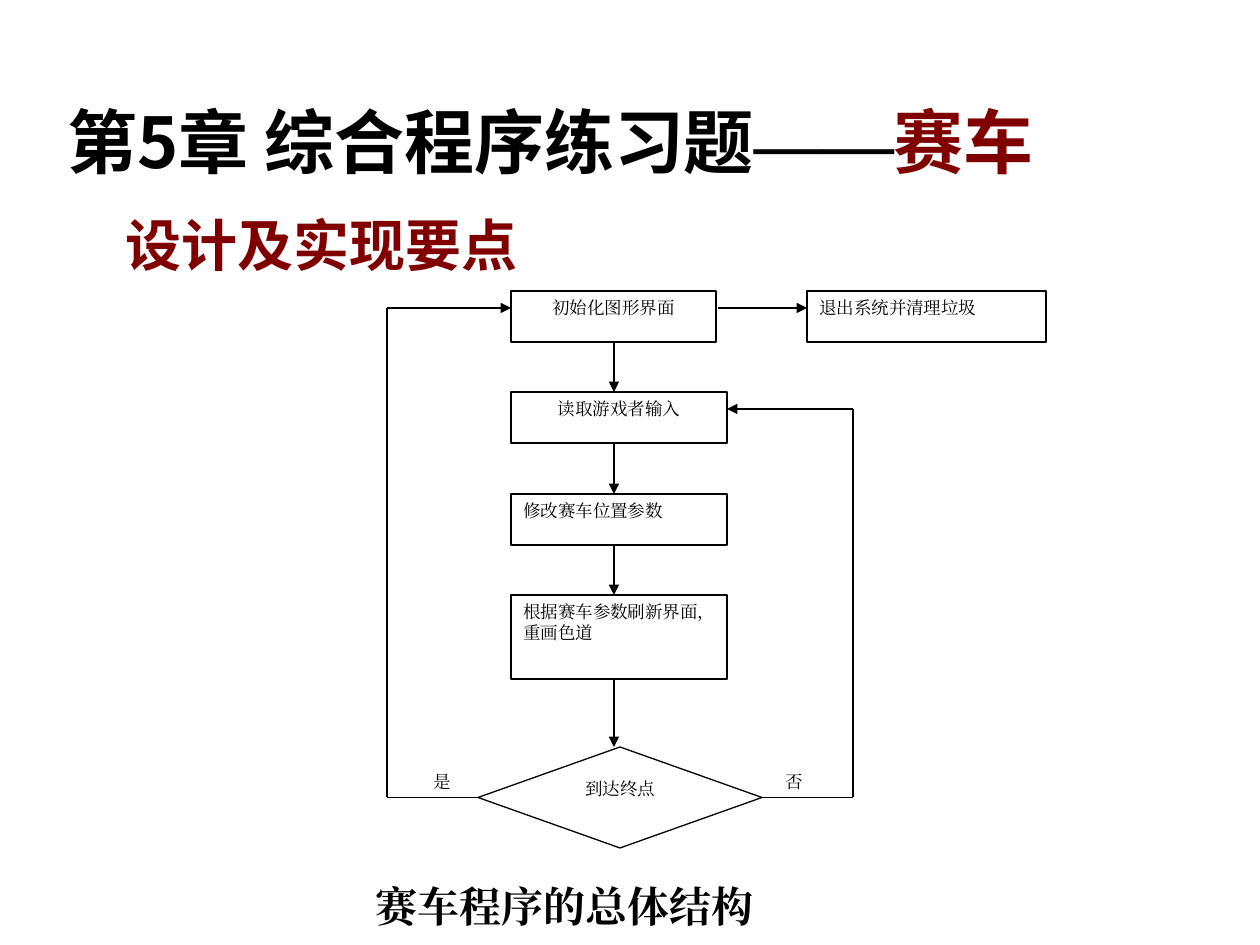
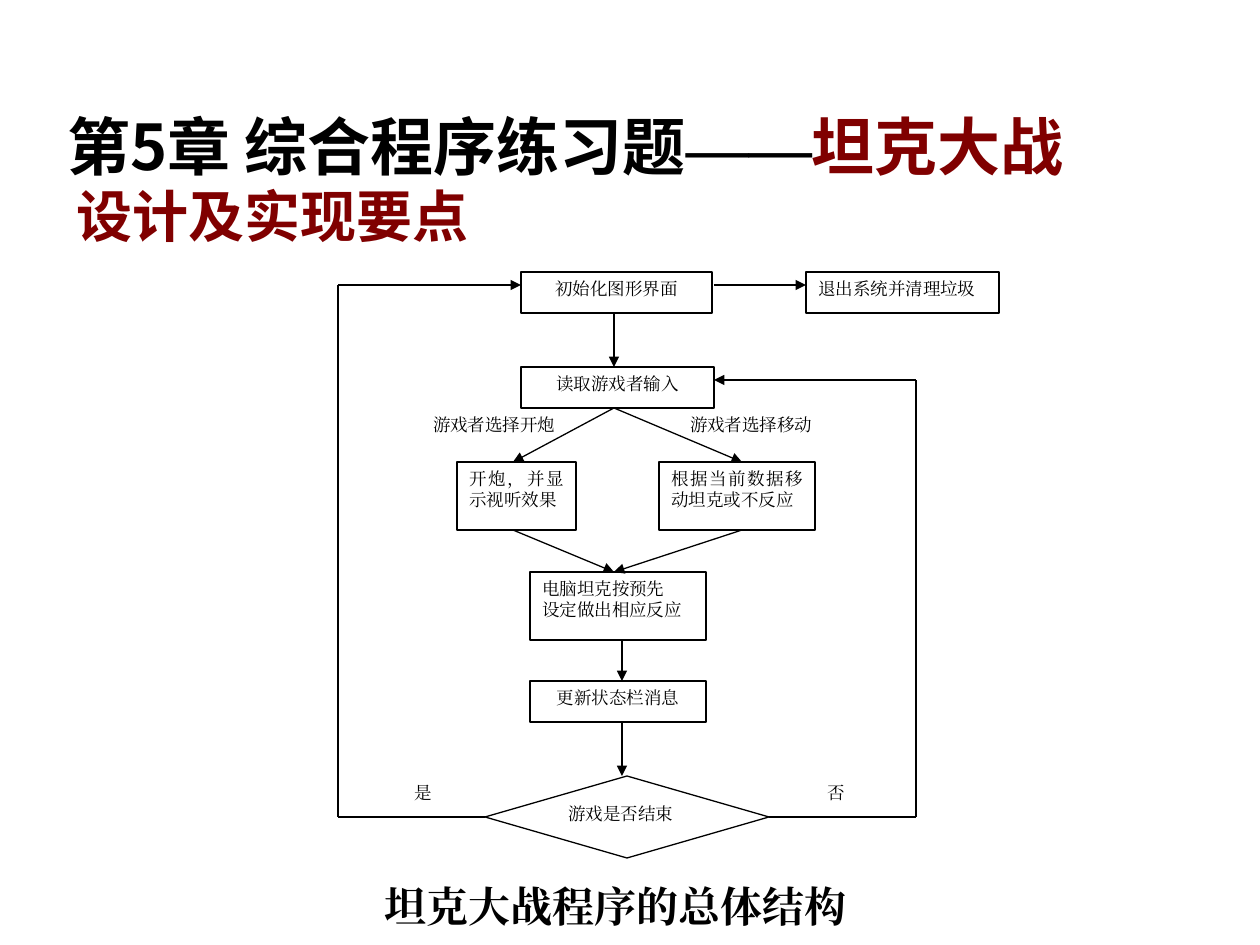
from lxml.etree import SubElement
from pptx import Presentation
from pptx.dml.color import RGBColor
from pptx.enum.shapes import MSO_CONNECTOR as Connector, MSO_SHAPE as Shape
from pptx.enum.text import MSO_ANCHOR as Anchor, PP_ALIGN as Align
from pptx.oxml.ns import qn
from pptx.util import Emu, Pt

SCALE = 914400 / 126
PAGE = (1260, 945)
BLACK, WHITE, MAROON, GOLD = "000000", "FFFFFF", "800000", "FFCC00"
SERIF, SANS, HEADING = "Times New Roman", "Noto Sans CJK SC", "Lato"
CHAPTER, DASH, SECTION = "第5章 综合程序练习题", "——", "设计及实现要点"
TITLE_BOX = (55, 32, 1071, 157)
SECTION_SIZE = (651, 87)
CAPTION_TOP, CAPTION_SIZE = 866, (536, 79)
LEFT, CENTER, JUSTIFY = Align.LEFT, Align.CENTER, Align.JUSTIFY

SLIDES = [
    {
        "topic": "赛车", "title_size": 40, "section_at": (113, 204),
        "caption": "赛车程序的总体结构 ", "caption_left": 302,
        "nodes": {
            "init": ("初始化图形界面", (511, 291, 205, 51), CENTER),
            "read": ("读取游戏者输入", (511, 392, 216, 51), CENTER),
            "move": ("修改赛车位置参数", (511, 494, 216, 51), JUSTIFY),
            "redraw": ("根据赛车参数刷新界面，重画色道", (511, 595, 216, 84), LEFT),
            "decision": ("到达终点", (478, 747, 284, 101), CENTER),
            "exit": ("退出系统并清理垃圾", (807, 291, 239, 51), JUSTIFY),
        },
        "flows": [
            ("init", 614, "read", 614), ("read", 614, "move", 614),
            ("move", 614, "redraw", 614), ("redraw", 614, "decision", 614),
        ],
        "lanes": (387, 853), "entry": 17,
        "labels": [
            ("是", (421, 765, 57, 68), JUSTIFY),
            ("否", (773, 765, 57, 68), JUSTIFY),
        ],
    },
    {
        "topic": "坦克大战", "title_size": 36, "section_at": (64, 175),
        "caption": "坦克大战程序的总体结构 ", "caption_left": 353,
        "nodes": {
            "init": ("初始化图形界面", (521, 272, 191, 41), CENTER),
            "read": ("读取游戏者输入", (521, 367, 193, 41), CENTER),
            "fire": ("开炮，并显示视听效果", (457, 462, 119, 68), JUSTIFY),
            "move": ("根据当前数据移动坦克或不反应", (659, 462, 156, 68), JUSTIFY),
            "computer": ("电脑坦克按预先\n设定做出相应反应", (530, 572, 176, 68), LEFT),
            "status": ("更新状态栏消息", (530, 681, 176, 41), CENTER),
            "decision": ("游戏是否结束", (485, 776, 284, 82), JUSTIFY),
            "exit": ("退出系统并清理垃圾", (806, 272, 193, 41), JUSTIFY),
        },
        "flows": [
            ("init", 614, "read", 614), ("read", 614, "fire", 513),
            ("read", 614, "move", 742), ("fire", 513, "computer", 614),
            ("move", 742, "computer", 614), ("computer", 622, "status", 622),
            ("status", 622, "decision", 622),
        ],
        "lanes": (338, 916), "entry": 13,
        "labels": [
            ("游戏者选择开炮", (402, 408, 184, 41), CENTER),
            ("游戏者选择移动", (659, 408, 184, 41), CENTER),
            ("是", (402, 776, 55, 68), JUSTIFY),
            ("否", (815, 776, 55, 68), JUSTIFY),
        ],
    },
]


def px(*values):
    return [Emu(round(value * SCALE)) for value in values]


def color(code):
    return RGBColor.from_string(code)


def set_font(font, name, size, code=BLACK, bold=False):
    font.name, font.size, font.bold = name, Pt(size), bold
    font.color.rgb = color(code)
    SubElement(font._rPr, qn("a:ea"), typeface=name)


def write(box, text, align, name=SERIF, size=10, code=BLACK, bold=False):
    frame = box.text_frame
    frame.word_wrap = True
    frame.vertical_anchor = Anchor.TOP
    frame.text = text
    for para in frame.paragraphs:
        para.alignment = align
        set_font(para.font, name, size, code, bold)
    return frame


def add_block(page, kind, bounds, line):
    block = page.shapes.add_shape(kind, *px(*bounds))
    block.shadow.inherit = False
    block.fill.solid()
    block.fill.fore_color.rgb = color(WHITE)
    if line:
        block.line.color.rgb = color(line)
        block.line.width = Pt(0.75)
    else:
        block.line.fill.background()
    return block


def add_title(page, topic, size):
    frame = page.shapes.add_textbox(*px(*TITLE_BOX)).text_frame
    frame.word_wrap = True
    frame.vertical_anchor = Anchor.BOTTOM
    para = frame.paragraphs[0]
    for text, name, code in ((CHAPTER, SANS, BLACK), (DASH, SERIF, BLACK), (topic, SANS, MAROON)):
        span = para.add_run()
        span.text = text
        set_font(span.font, name, size, code, True)


def add_section(page, corner):
    box = page.shapes.add_textbox(*px(*corner, *SECTION_SIZE))
    props = box.text_frame.paragraphs[0]._p.get_or_add_pPr()
    props.set("marL", str(px(48)[0]))
    props.set("indent", str(px(-48)[0]))
    bullet_color = SubElement(props, qn("a:buClr"))
    SubElement(bullet_color, qn("a:srgbClr"), val=GOLD)
    SubElement(props, qn("a:buChar"), char="❚")
    write(box, SECTION, JUSTIFY, HEADING, 32, MAROON, True)


def add_route(page, points):
    legs = list(zip(points, points[1:]))
    for start, end in legs:
        leg = page.shapes.add_connector(Connector.STRAIGHT, *px(*start, *end))
        leg.line.color.rgb = color(BLACK)
        leg.line.width = Pt(0.75)
        props = leg._element.spPr
        if end == points[-1]:
            SubElement(props.find(qn("a:ln")), qn("a:tailEnd"), type="triangle")
        SubElement(props, qn("a:effectLst"))


def add_chart_routes(page, content):
    bounds = {name: node[1] for name, node in content["nodes"].items()}
    for source, start_x, target, end_x in content["flows"]:
        _, top, _, height = bounds[source]
        add_route(page, [(start_x, top + height), (end_x, bounds[target][1])])
    init_left, init_top, init_width, _ = bounds["init"]
    read_left, read_top, read_width, _ = bounds["read"]
    left, top, width, height = bounds["decision"]
    yes_lane, no_lane = content["lanes"]
    middle = top + height / 2
    init_y, read_y = init_top + content["entry"], read_top + content["entry"]
    add_route(page, [(left, middle), (yes_lane, middle), (yes_lane, init_y), (init_left, init_y)])
    add_route(page, [(left + width, middle), (no_lane, middle), (no_lane, read_y),
                     (read_left + read_width, read_y)])
    add_route(page, [(init_left + init_width + 2, init_y), (bounds["exit"][0], init_y)])


def add_page(deck, content):
    page = deck.slides.add_slide(deck.slide_layouts[6])
    add_title(page, content["topic"], content["title_size"])
    add_section(page, content["section_at"])
    for name, (text, bounds, align) in content["nodes"].items():
        kind = Shape.DIAMOND if name == "decision" else Shape.RECTANGLE
        write(add_block(page, kind, bounds, BLACK), text, align)
    add_chart_routes(page, content)
    for text, bounds, align in content["labels"]:
        write(page.shapes.add_textbox(*px(*bounds)), text, align)
    bounds = (content["caption_left"], CAPTION_TOP, *CAPTION_SIZE)
    caption = add_block(page, Shape.RECTANGLE, bounds, None)
    frame = write(caption, content["caption"], CENTER, SERIF, 24, BLACK, True)
    frame.word_wrap = False
    frame.vertical_anchor = Anchor.MIDDLE


def main():
    deck = Presentation()
    deck.slide_width, deck.slide_height = px(*PAGE)
    for content in SLIDES:
        add_page(deck, content)
    deck.save("out.pptx")


if __name__ == "__main__":
    main()
